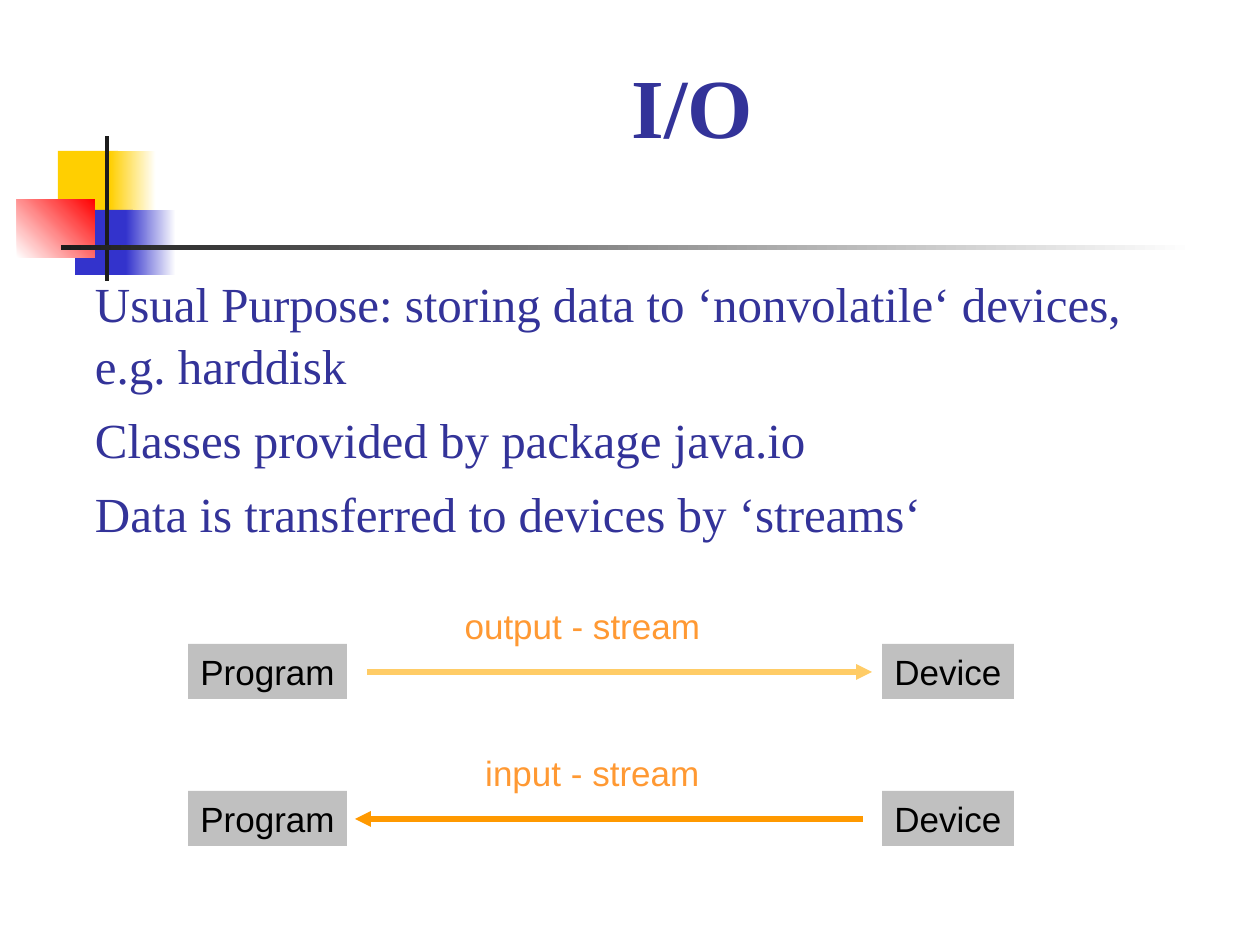
from lxml import etree
from pptx import Presentation
from pptx.dml.color import RGBColor
from pptx.enum.shapes import MSO_CONNECTOR, MSO_SHAPE
from pptx.enum.text import MSO_ANCHOR, MSO_AUTO_SIZE, PP_ALIGN
from pptx.oxml.ns import qn
from pptx.util import Emu, Pt

PX = 914400 // 126
RECT = MSO_SHAPE.RECTANGLE
LINE = MSO_CONNECTOR.STRAIGHT
MIDDLE, TOP = MSO_ANCHOR.MIDDLE, MSO_ANCHOR.TOP
LEFT, CENTER = PP_ALIGN.LEFT, PP_ALIGN.CENTER
FIXED = MSO_AUTO_SIZE.NONE

NAVY = RGBColor(0x33, 0x33, 0x99)
BLUE = RGBColor(0x33, 0x33, 0xCC)
GOLD = RGBColor(0xFF, 0xCF, 0x01)
RED = RGBColor(0xFF, 0x00, 0x00)
INK = RGBColor(0x1C, 0x1C, 0x1C)
WHITE = RGBColor(0xFF, 0xFF, 0xFF)
BLACK = RGBColor(0x00, 0x00, 0x00)
GREY = RGBColor(0xC0, 0xC0, 0xC0)
ORANGE = RGBColor(0xFF, 0x99, 0x33)
PALE = RGBColor(0xFF, 0xCC, 0x66)
DEEP = RGBColor(0xFF, 0x99, 0x00)

TITLE = "I/O"
POINTS = [
    "Usual Purpose: storing data to ‘nonvolatile‘ devices, e.g. harddisk",
    "Classes provided by package java.io",
    "Data is transferred to devices by ‘streams‘",
]
# box, colours from start to end, angle
DECOR = [
    ((58, 151, 60, 66), [GOLD], 0),
    ((110, 151, 46, 66), [GOLD, WHITE], 0),
    ((75, 210, 58, 65), [BLUE], 0),
    ((126, 210, 50, 65), [BLUE, WHITE], 0),
    ((17, 199, 78, 59), [WHITE, RED], 45),
    ((105, 136, 4, 145), [INK], 0),
    ((61, 245, 1134, 5), [INK, WHITE], 0),
]
# label, label left and width, arrow start and end, arrow colour
STREAMS = [
    ("output - stream", 452, 261, 367, 872, PALE),
    ("input - stream", 473, 239, 863, 355, DEEP),
]
ENDS = [("Program", 188, 159), ("Device", 882, 132)]
ROW_TOP, ROW_STEP, BOX_H, LABEL_UP = 644, 147, 55, 46


def place(shape, box):
    shape.left, shape.top, shape.width, shape.height = [Emu(n * PX) for n in box]


def write(shape, lines, size, color, font="Arial", bold=False, align=CENTER,
          anchor=MIDDLE, wrap=False, pad=(13, 6), gap=0, lead=1.0):
    frame = shape.text_frame
    frame.auto_size = FIXED
    frame.word_wrap = wrap
    frame.vertical_anchor = anchor
    frame.margin_left = frame.margin_right = Emu(pad[0] * PX)
    frame.margin_top = frame.margin_bottom = Emu(pad[1] * PX)
    for i, line in enumerate(lines):
        para = frame.add_paragraph() if i else frame.paragraphs[0]
        para.alignment = align
        para.line_spacing = lead
        para.space_before = Pt(gap if i else 0)
        run = para.add_run()
        run.text = line
        run.font.name, run.font.size, run.font.bold = font, Pt(size), bold
        run.font.color.rgb = color


def block(slide, box, colors, angle=0):
    """Add a borderless rectangle, plain or with a two-colour gradient."""
    shape = slide.shapes.add_shape(RECT, *[Emu(n * PX) for n in box])
    shape.shadow.inherit = False
    shape.line.fill.background()
    if len(colors) == 1:
        shape.fill.solid()
        shape.fill.fore_color.rgb = colors[0]
    else:
        shape.fill.gradient()
        shape.fill.gradient_angle = angle
        for stop, color in zip(shape.fill.gradient_stops, colors):
            stop.color.rgb = color
    return shape


def arrow(slide, start, end, y, color):
    link = slide.shapes.add_connector(
        LINE, *[Emu(n * PX) for n in (start, y, end, y)])
    link.line.color.rgb = color
    link.line.width = Pt(3)
    props = link.element.find(qn("p:spPr"))
    etree.SubElement(props.find(qn("a:ln")), qn("a:tailEnd"), type="triangle")
    etree.SubElement(props, qn("a:effectLst"))


def main():
    deck = Presentation()
    deck.slide_width, deck.slide_height = Emu(1260 * PX), Emu(945 * PX)
    slide = deck.slides.add_slide(deck.slide_layouts[0])

    for box, colors, angle in DECOR:
        block(slide, box, colors, angle)

    title, body = slide.placeholders
    place(title, (199, 14, 987, 181))
    write(title, [TITLE], 48, NAVY, font="Times New Roman", bold=True, wrap=True)
    place(body, (95, 271, 1092, 270))
    write(body, POINTS, 28, NAVY, font="Times New Roman", align=LEFT,
          anchor=TOP, wrap=True, pad=(0, 0), gap=7, lead=1.05)
    for holder in (title, body):  # bring the text in front of the decoration
        slide.shapes.element.append(holder.element)

    for row, (text, left, width, start, end, color) in enumerate(STREAMS):
        top = ROW_TOP + row * ROW_STEP
        for name, x, wide in ENDS:
            write(block(slide, (x, top, wide, BOX_H), [GREY]), [name], 20, BLACK)
        arrow(slide, start, end, top + BOX_H // 2 + 1, color)
        label = slide.shapes.add_textbox(0, 0, 0, 0)
        place(label, (left, top - LABEL_UP, width, BOX_H))
        write(label, [text], 20, ORANGE, anchor=TOP)

    deck.save("out.pptx")


if __name__ == "__main__":
    main()
